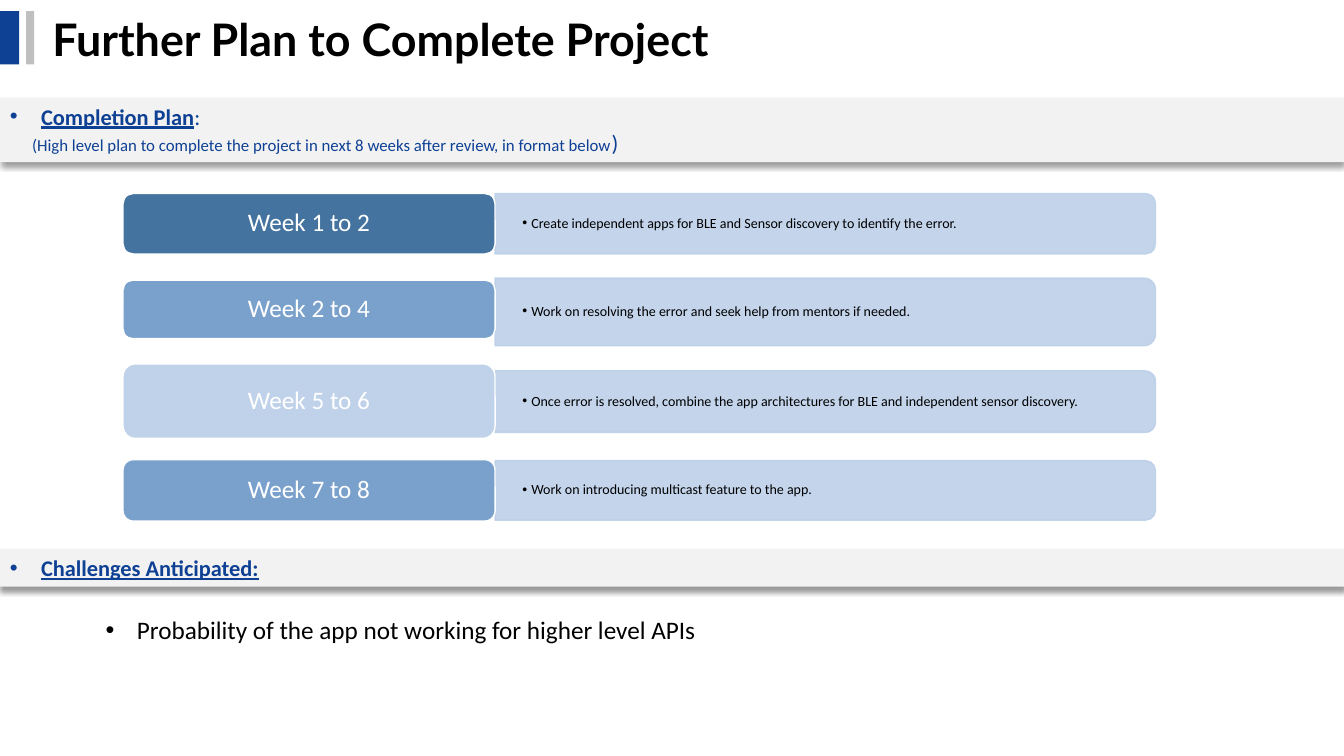
import pptx
import pptx.util
import pptx.dml.color
import pptx.enum.shapes
import pptx.enum.text
import pptx.oxml
import pptx.oxml.ns

Inches, Pt = pptx.util.Inches, pptx.util.Pt
RGBColor = pptx.dml.color.RGBColor
SHAPE = pptx.enum.shapes.MSO_SHAPE
ALIGN = pptx.enum.text.PP_ALIGN
ANCHOR = pptx.enum.text.MSO_ANCHOR
qn = pptx.oxml.ns.qn

NAVY = RGBColor(0x0E, 0x40, 0x94)
GREY = RGBColor(0xBF, 0xBF, 0xBF)
BAND_GREY = RGBColor(0xF2, 0xF2, 0xF2)
BLACK = RGBColor(0, 0, 0)
WHITE = RGBColor(0xFF, 0xFF, 0xFF)
STEEL = RGBColor(0x43, 0x73, 0x9E)
MID_BLUE = RGBColor(0x7A, 0xA1, 0xCC)
PALE_BLUE = RGBColor(0xC0, 0xD2, 0xEA)
PANEL_BLUE = RGBColor(0xBD, 0xD0, 0xE9)

SLIDE_WIDTH = 13.33
PILL_LEFT, PILL_WIDTH = 1.22, 3.69
PANEL_LEFT, PANEL_WIDTH = PILL_LEFT + PILL_WIDTH, 6.55

# label, pill colour, pill top and height, panel top and height, task
WEEKS = [
    ("Week 1 to 2", STEEL, 1.92, 0.6, 1.92, 0.6,
     "Create independent apps for BLE and Sensor discovery to identify the error."),
    ("Week 2 to 4", MID_BLUE, 2.78, 0.58, 2.76, 0.67,
     "Work on resolving the error and seek help from mentors if needed."),
    ("Week 5 to 6", PALE_BLUE, 3.61, 0.74, 3.68, 0.61,
     "Once error is resolved, combine the app architectures for BLE and "
     "independent sensor discovery."),
    ("Week 7 to 8", MID_BLUE, 4.56, 0.61, 4.57, 0.59,
     "Work on introducing multicast feature to the app."),
]


def element(xml):
    """Parse a DrawingML fragment whose root declares no namespace."""
    head, rest = xml.split(" ", 1)
    return pptx.oxml.parse_xml(f"{head} {pptx.oxml.ns.nsdecls('a')} {rest}")


def add_block(slide, kind, left, top, width, height, fill, line=None):
    """Add a filled preset shape without shadow, outlined if a line colour is given."""
    block = slide.shapes.add_shape(
        kind, Inches(left), Inches(top), Inches(width), Inches(height))
    block.shadow.inherit = False
    block.fill.solid()
    block.fill.fore_color.rgb = fill
    if line is None:
        block.line.fill.background()
    else:
        block.line.color.rgb = line
        block.line.width = Pt(1)
    return block


def add_box(slide, left, top, width, height):
    """Add an empty text box."""
    return slide.shapes.add_textbox(
        Inches(left), Inches(top), Inches(width), Inches(height))


def set_frame(shape, anchor=ANCHOR.TOP, inset_x=0.1, inset_y=0.05):
    """Set wrapping, anchor and insets of a shape's text; return the frame."""
    frame = shape.text_frame
    frame.word_wrap = True
    frame.vertical_anchor = anchor
    frame.margin_left = frame.margin_right = Inches(inset_x)
    frame.margin_top = frame.margin_bottom = Inches(inset_y)
    return frame


def write(paragraph, text, size, color, font="Calibri", bold=False, underline=False):
    """Append a formatted run to a paragraph."""
    run = paragraph.add_run()
    run.text = text
    run.font.size = Pt(size)
    run.font.name = font
    run.font.color.rgb = color
    run.font.bold = bold
    run.font.underline = underline


def indent(paragraph, margin, bullet=True):
    """Indent a paragraph, with a hanging bullet if wanted."""
    props = paragraph._p.get_or_add_pPr()
    props.set("marL", str(Inches(margin)))
    if bullet:
        props.set("indent", str(-Inches(margin)))
        props.append(element('<a:buFont typeface="Arial"/>'))
        props.append(element('<a:buChar char="&#8226;"/>'))


def add_band(slide, top, height, heading):
    """Add a full-width shadowed band with an underlined heading; return its frame."""
    band = add_block(slide, SHAPE.RECTANGLE, 0, top, SLIDE_WIDTH, height, BAND_GREY)
    band._element.spPr.find(qn("a:effectLst")).append(element(
        f'<a:outerShdw blurRad="{Pt(4)}" dist="{Pt(3)}" dir="5400000" rotWithShape="0">'
        '<a:srgbClr val="000000"><a:alpha val="40000"/></a:srgbClr></a:outerShdw>'))
    frame = set_frame(band)
    first = frame.paragraphs[0]
    first.alignment = ALIGN.JUSTIFY
    indent(first, 0.31)
    write(first, heading, 16, NAVY, bold=True, underline=True)
    return frame


def add_panel(slide, top, height, task):
    """Add the panel rounded on its right side, with the task over it."""
    middle_x, middle_y = PANEL_LEFT + PANEL_WIDTH / 2, top + height / 2
    panel = add_block(
        slide, SHAPE.ROUND_2_SAME_RECTANGLE, middle_x - height / 2,
        middle_y - PANEL_WIDTH / 2, height, PANEL_WIDTH, PANEL_BLUE, PANEL_BLUE)
    panel.rotation = 90
    for color in panel._element.spPr.iter(qn("a:srgbClr")):
        color.append(element('<a:alpha val="90000"/>'))

    box = add_box(slide, PANEL_LEFT, top + 0.03, PANEL_WIDTH - 0.03, height - 0.06)
    paragraph = set_frame(box, ANCHOR.MIDDLE, 0.27, 0.14).paragraphs[0]
    paragraph.line_spacing = 0.9
    indent(paragraph, 0.09)
    write(paragraph, task, 10, BLACK)


def add_pill(slide, top, height, label, fill):
    """Add the rounded week label."""
    pill = add_block(slide, SHAPE.ROUNDED_RECTANGLE, PILL_LEFT, top,
                     PILL_WIDTH, height, fill, WHITE)
    paragraph = set_frame(pill, ANCHOR.MIDDLE, 0.07, 0.04).paragraphs[0]
    paragraph.alignment = ALIGN.CENTER
    paragraph.line_spacing = 0.9
    write(paragraph, label, 18, WHITE)


def add_title(slide, text):
    """Add the slide title and the two bars on its left."""
    add_block(slide, SHAPE.RECTANGLE, 0, 0.11, 0.19, 0.53, NAVY)
    add_block(slide, SHAPE.RECTANGLE, 0.26, 0.11, 0.08, 0.53, GREY)
    frame = set_frame(add_box(slide, 0.42, 0.06, 10.28, 0.64), ANCHOR.MIDDLE)
    write(frame.paragraphs[0], text, 32, BLACK, font="Lato", bold=True)


def main():
    """Build the slide and save it."""
    deck = pptx.Presentation()
    deck.slide_width, deck.slide_height = Inches(SLIDE_WIDTH), Inches(7.5)
    slide = deck.slides.add_slide(deck.slide_layouts[6])

    add_title(slide, "Further Plan to Complete Project")

    plan = add_band(slide, 0.97, 0.64, "Completion Plan")
    write(plan.paragraphs[0], ": ", 16, NAVY)
    note = plan.add_paragraph()
    note.alignment = ALIGN.JUSTIFY
    indent(note, 0.22, bullet=False)
    write(note, "(High level plan to complete the project in next 8 weeks "
          "after review, in format below", 12, NAVY)
    write(note, ")", 16, NAVY)

    for label, fill, pill_top, pill_height, panel_top, panel_height, task in WEEKS:
        add_panel(slide, panel_top, panel_height, task)
        add_pill(slide, pill_top, pill_height, label, fill)

    add_band(slide, 5.45, 0.37, "Challenges Anticipated:")
    challenge = set_frame(add_box(slide, 0.95, 6.05, 9.98, 0.4)).paragraphs[0]
    indent(challenge, 0.31)
    write(challenge, "Probability of the app not working for higher level APIs",
          18, BLACK)

    deck.save("out.pptx")


main()
